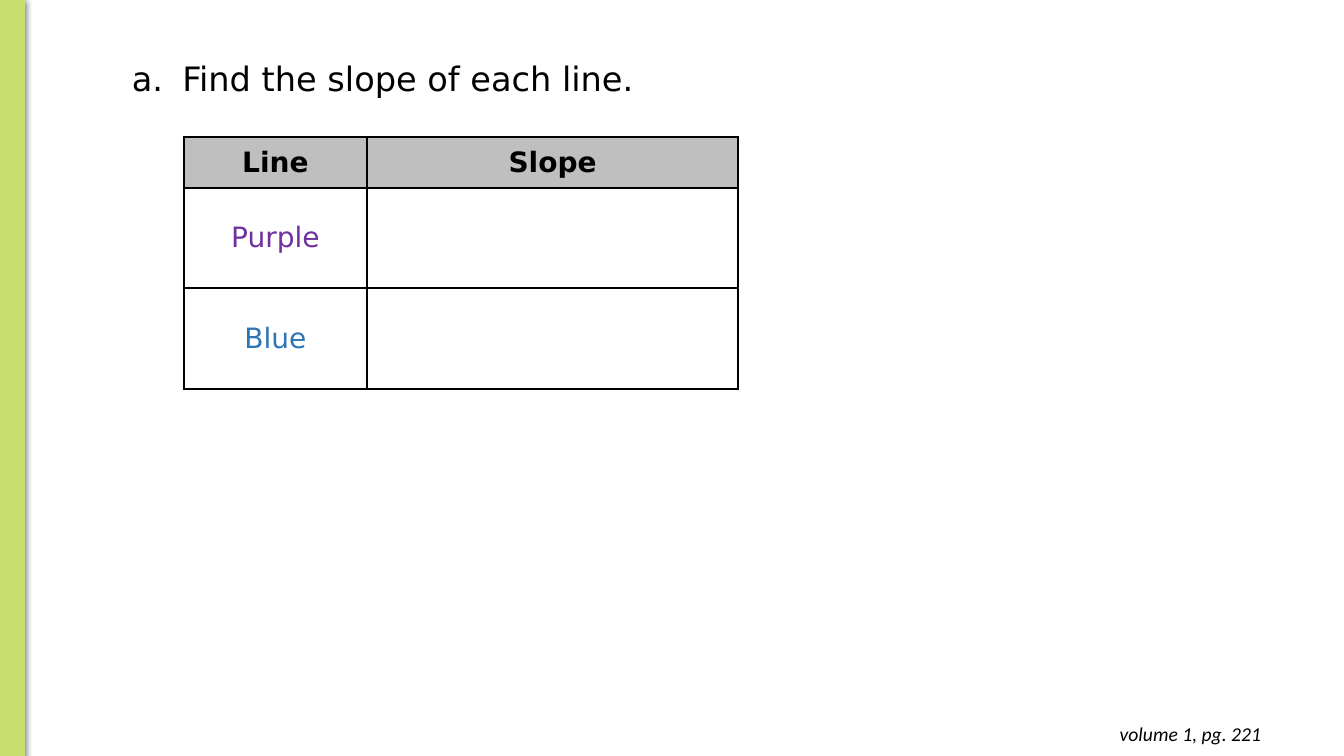
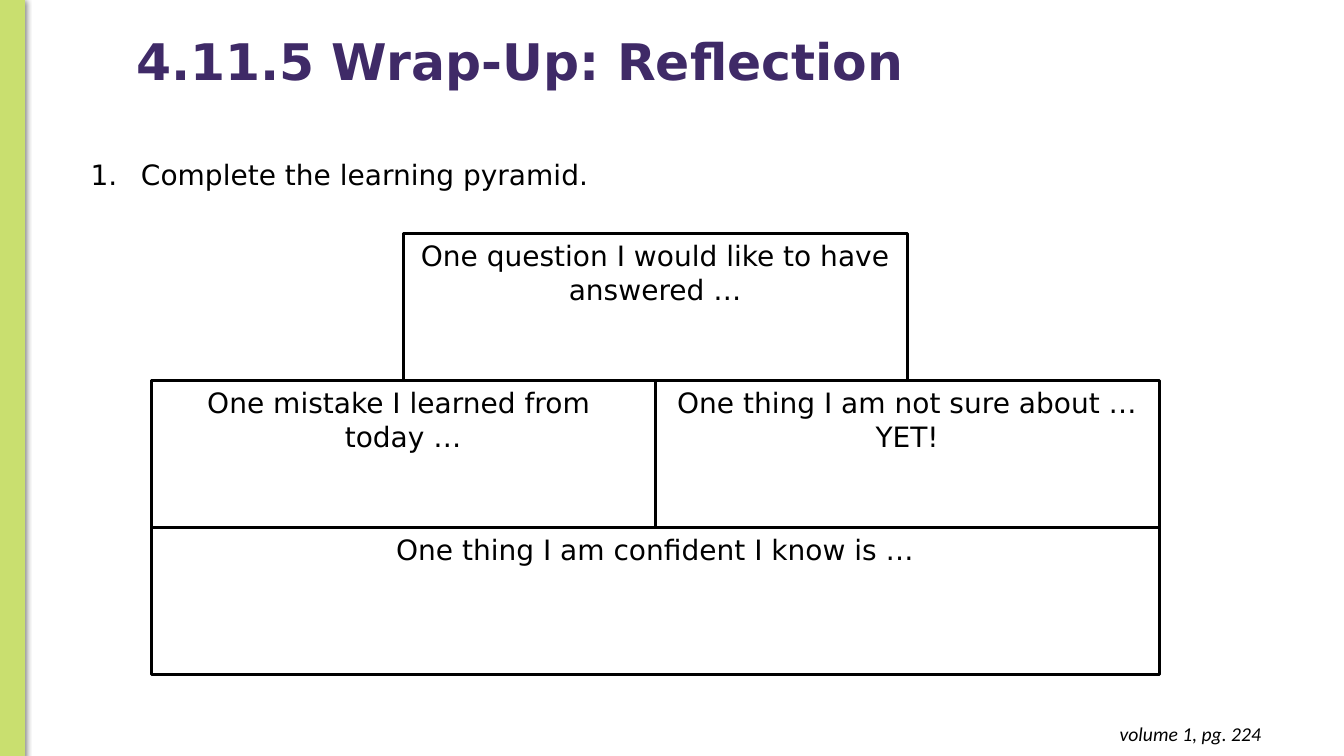
import pptx
import pptx.util
import pptx.dml.color
import pptx.enum.shapes
import pptx.enum.text
import pptx.oxml
import pptx.oxml.ns

Pt = pptx.util.Pt
Align = pptx.enum.text.PP_ALIGN
Anchor = pptx.enum.text.MSO_ANCHOR
DRAWING = pptx.oxml.ns.nsdecls("a")

COLORS = {
    "ink": "000000",
    "paper": "FFFFFF",
    "title": "3F2A67",
    "band": "C9DF6F",
    "header": "BFBFBF",
    "purple": "7030A0",
    "blue": "2E75B6",
}
FONTS = {
    "title": {"name": "DejaVu Sans", "size": Pt(36), "bold": True},
    "question": {"name": "DejaVu Sans", "size": Pt(24)},
    "text": {"name": "DejaVu Sans", "size": Pt(20), "bold": False},
    "header": {"name": "DejaVu Sans", "size": Pt(20), "bold": True},
    "footer": {"name": "Calibri", "size": Pt(14), "italic": True},
}


def set_all(target, values):
    for name, value in values.items():
        setattr(target, name, value)


def color(name):
    return pptx.dml.color.RGBColor.from_string(COLORS[name])


def element(markup):
    return pptx.oxml.parse_xml(markup)


class Lesson:
    def __init__(self):
        self.deck = pptx.Presentation()
        set_all(self.deck, {"slide_width": Pt(960), "slide_height": Pt(540)})
        self.page = None

    def new_page(self, reference):
        self.page = self.deck.slides.add_slide(self.deck.slide_layouts[1])
        self.band()
        self.footer(reference)

    def place(self, shape, left, top, width, height):
        set_all(shape, {"left": Pt(left), "top": Pt(top),
                        "width": Pt(width), "height": Pt(height)})

    def fill_text(self, frame, text, font, ink="ink", **layout):
        para = frame.paragraphs[0]
        para.text = text
        set_all(para, {"space_before": Pt(0), **layout})
        for span in para.runs:
            set_all(span.font, FONTS[font])
            span.font.color.rgb = color(ink)
        return para

    def box(self, shapes, left, top, width, height, fill, line, weight):
        shape = shapes.add_shape(
            pptx.enum.shapes.MSO_SHAPE.RECTANGLE,
            Pt(left), Pt(top), Pt(width), Pt(height))
        shape.shadow.inherit = False
        shape.fill.solid()
        shape.fill.fore_color.rgb = color(fill)
        shape.line.color.rgb = color(line)
        shape.line.width = Pt(weight)
        return shape

    def band(self):
        band = self.box(self.page.shapes, 0, -0.5, 17.5, 541, "band", "band", 0.75)
        effects = band._element.spPr.find(pptx.oxml.ns.qn("a:effectLst"))
        effects.append(element(
            f'<a:outerShdw {DRAWING} blurRad="{Pt(4.5)}" dist="{Pt(1.5)}" '
            f'dir="5400000" algn="ctr" rotWithShape="0">'
            f'<a:srgbClr val="{COLORS["ink"]}"><a:alpha val="50000"/></a:srgbClr>'
            f'</a:outerShdw>'))

    def footer(self, reference):
        box = self.page.shapes.add_textbox(Pt(700.5), Pt(508.5), Pt(207.5), Pt(31.5))
        frame = box.text_frame
        set_all(frame, {"word_wrap": True, "margin_top": Pt(7.2),
                        "margin_bottom": Pt(7.2)})
        self.fill_text(frame, reference, "footer", alignment=Align.RIGHT)

    def title(self, text):
        title = self.page.shapes.title
        self.place(title, 90, 22.5, 840, 46.5)
        set_all(title.text_frame, {
            "vertical_anchor": Anchor.MIDDLE,
            "auto_size": pptx.enum.text.MSO_AUTO_SIZE.NONE})
        self.fill_text(title.text_frame, text, "title", "title",
                       alignment=Align.LEFT, line_spacing=0.9)

    def drop_title(self):
        title = self.page.shapes.title._element
        title.getparent().remove(title)

    def numbered(self, text, font, numbering, indent, left, top, width, height):
        body = self.page.placeholders[1]
        self.place(body, left, top, width, height)
        body.text_frame.auto_size = pptx.enum.text.MSO_AUTO_SIZE.NONE
        para = self.fill_text(body.text_frame, text, font)
        properties = para._p.get_or_add_pPr()
        properties.set("marL", str(Pt(indent)))
        properties.set("indent", str(Pt(-36)))
        for markup in (
                f'<a:buClr {DRAWING}><a:srgbClr val="{COLORS["ink"]}"/></a:buClr>',
                f'<a:buFont {DRAWING} typeface="{FONTS[font]["name"]}"/>',
                f'<a:buAutoNum {DRAWING} type="{numbering}"/>'):
            properties.append(element(markup))

    def cell(self, cell, text, font, ink, fill):
        properties = cell._tc.get_or_add_tcPr()
        for side in "LRTB":
            properties.append(element(
                f'<a:ln{side} {DRAWING} w="{Pt(1.5)}"><a:solidFill>'
                f'<a:srgbClr val="{COLORS["ink"]}"/></a:solidFill></a:ln{side}>'))
        cell.fill.solid()
        cell.fill.fore_color.rgb = color(fill)
        set_all(cell, {"vertical_anchor": Anchor.MIDDLE,
                       "margin_left": Pt(5), "margin_right": Pt(5),
                       "margin_top": 0, "margin_bottom": 0})
        if text:
            self.fill_text(cell.text_frame, text, font, ink, alignment=Align.CENTER)

    def table(self, rows, inks, left, top, widths, heights):
        table = self.page.shapes.add_table(
            len(rows), len(widths), Pt(left), Pt(top),
            Pt(sum(widths)), Pt(sum(heights))).table
        set_all(table, {"first_row": False, "horz_banding": False})
        for column, width in zip(table.columns, widths):
            column.width = Pt(width)
        for index, (row, height) in enumerate(zip(table.rows, heights)):
            row.height = Pt(height)
            font, fill = ("text", "paper") if index else ("header", "header")
            for cell, text in zip(row.cells, rows[index]):
                self.cell(cell, text, font, inks[index], fill)

    def pyramid(self, tiers, center, top, block_width, block_height):
        group = self.page.shapes.add_group_shape()
        for level, (width, texts) in enumerate(tiers):
            left = center - width * len(texts) * block_width / 2
            for index, text in enumerate(texts):
                block = self.box(
                    group.shapes, left + index * width * block_width,
                    top + level * block_height, width * block_width,
                    block_height, "paper", "ink", 2.25)
                block.text_frame.vertical_anchor = Anchor.TOP
                self.fill_text(block.text_frame, text, "text",
                               alignment=Align.CENTER, space_after=Pt(10))


def main():
    lesson = Lesson()

    lesson.new_page("volume 1, pg. 221")
    lesson.drop_title()
    lesson.numbered("Find the slope of each line.", "question",
                    "alphaLcPeriod", 72, 51, 37.5, 857.5, 36)
    lesson.table([("Line", "Slope"), ("Purple", ""), ("Blue", "")],
                 ("ink", "purple", "blue"), 131.25, 98, (131, 265), (36, 72, 72))

    lesson.new_page("volume 1, pg. 224")
    lesson.title("4.11.5 Wrap-Up: Reflection")
    lesson.numbered("Complete the learning pyramid.", "text",
                    "arabicPeriod", 36, 57.5, 109, 850, 31.5)
    lesson.pyramid([
        (1, ["One question I would like to have answered …"]),
        (1, ["One mistake I learned from \vtoday …",
             "One thing I am not sure about … YET!"]),
        (2, ["One thing I am confident I know is …"]),
    ], 468, 167, 360, 105)

    lesson.deck.save("out.pptx")


if __name__ == "__main__":
    main()
